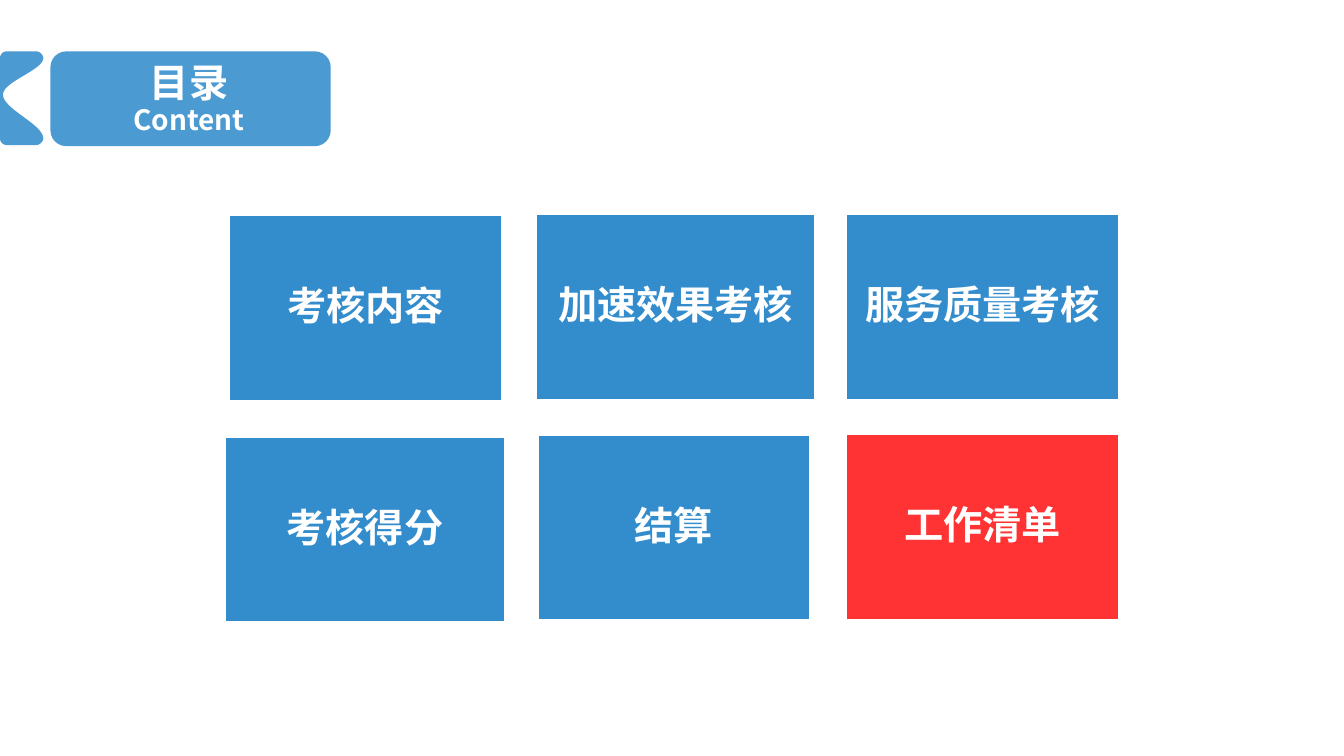
from dataclasses import dataclass

from lxml import etree
from pptx import Presentation
from pptx.dml.color import RGBColor
from pptx.enum.shapes import MSO_SHAPE
from pptx.enum.text import MSO_ANCHOR, PP_ALIGN
from pptx.oxml.ns import qn
from pptx.util import Emu, Pt

RECTANGLE = MSO_SHAPE.RECTANGLE
BANNER = MSO_SHAPE.FLOWCHART_ALTERNATE_PROCESS
CENTER = PP_ALIGN.CENTER
MIDDLE = MSO_ANCHOR.MIDDLE
BLANK_LAYOUT = 6
EMU_PER_PX = 9144  # 100 px to the inch
CURVE_STEPS = 24


@dataclass(frozen=True)
class Theme:
    font: str = "Noto Sans CJK SC"
    blue: str = "0070C0"
    red: str = "FF0000"
    white: str = "FFFFFF"
    heading_size: int = 28
    subtitle_size: int = 20
    line_spacing: float = 0.9
    border: int = 2
    header_opacity: int = 70
    card_opacity: int = 80


THEME = Theme()


@dataclass(frozen=True)
class Card:
    label: str
    left: int
    top: int
    width: int = 271
    height: int = 185
    color: str = THEME.blue


CARDS = [
    Card("考核内容", 227, 213),
    Card("加速效果考核", 531, 212, width=278),
    Card("服务质量考核", 839, 212),
    Card("考核得分", 223, 433, width=278),
    Card("结算", 533, 431),
    Card("工作清单", 839, 430, height=186, color=THEME.red),
]

# Tab outline: each step holds one point (line) or three points (curve)
TAB_START = (7, 144)
TAB_STEPS = [
    [(3, 144), (0, 141), (0, 137)],
    [(0, 58)],
    [(0, 54), (3, 51), (7, 51)],
    [(36, 51)],
    [(39, 51), (43, 54), (43, 58)],
    [(42, 70), (3, 81), (3, 94)],
    [(3, 108), (42, 123), (43, 137)],
    [(43, 141), (39, 144), (36, 144)],
]


def px(value: float) -> Emu:
    return Emu(round(value * EMU_PER_PX))


def paint(shape, color: str, opacity: int) -> None:
    """Give a shape a translucent fill, with no line or shadow."""
    shape.shadow.inherit = False
    shape.fill.solid()
    shape.fill.fore_color.rgb = RGBColor.from_string(color)
    shape.line.fill.background()
    tint = shape.element.spPr.find(qn("a:solidFill")).find(qn("a:srgbClr"))
    etree.SubElement(tint, qn("a:alpha")).set("val", str(opacity * 1000))


def add_box(page, kind, left: int, top: int, width: int, height: int,
            *, color: str, opacity: int):
    box = page.shapes.add_shape(kind, px(left), px(top), px(width), px(height))
    paint(box, color, opacity)
    return box


def write(para, text: str, *, size: int, color: str = THEME.white,
          bold: bool = True) -> None:
    para.alignment = CENTER
    para.line_spacing = THEME.line_spacing
    span = para.add_run()
    span.text = text
    span.font.name = THEME.font
    span.font.size = Pt(size)
    span.font.bold = bold
    span.font.color.rgb = RGBColor.from_string(color)
    east_asian = etree.Element(qn("a:ea"), typeface=THEME.font)
    span.font._element.find(qn("a:latin")).addnext(east_asian)


def curve_points(start: tuple, first: tuple, second: tuple, end: tuple) -> list:
    """Points along a cubic curve, leaving out its start."""
    points = []
    for step in range(1, CURVE_STEPS + 1):
        t = step / CURVE_STEPS
        weights = ((1 - t) ** 3, 3 * t * (1 - t) ** 2, 3 * t * t * (1 - t), t ** 3)
        corners = (start, first, second, end)
        points.append(tuple(sum(weight * corner[axis]
                                for weight, corner in zip(weights, corners))
                            for axis in (0, 1)))
    return points


def add_tab(page) -> None:
    outline = [TAB_START]
    for step in TAB_STEPS:
        outline += curve_points(outline[-1], *step) if len(step) == 3 else step
    scaled = [(px(x), px(y)) for x, y in outline]
    builder = page.shapes.build_freeform(*scaled[0])
    builder.add_line_segments(scaled[1:], close=True)
    paint(builder.convert_to_shape(), THEME.blue, THEME.header_opacity)


def add_title(page) -> None:
    box = page.shapes.add_textbox(px(52), px(52), px(271), px(94))
    frame = box.text_frame
    frame.word_wrap = True
    frame.vertical_anchor = MIDDLE
    para = frame.paragraphs[0]
    write(para, "目录", size=THEME.heading_size)
    para.add_line_break()
    write(para, "Content", size=THEME.subtitle_size)


def add_card(page, card: Card) -> None:
    box = add_box(page, RECTANGLE, card.left, card.top, card.width, card.height,
                  color=card.color, opacity=THEME.card_opacity)
    box.line.color.rgb = RGBColor.from_string(THEME.white)
    box.line.width = Pt(THEME.border)
    frame = box.text_frame
    frame.word_wrap = True
    frame.vertical_anchor = MIDDLE
    frame.margin_left = frame.margin_right = px(15)
    frame.margin_top = frame.margin_bottom = px(15)
    write(frame.paragraphs[0], card.label, size=THEME.heading_size)


def main() -> None:
    deck = Presentation()
    deck.slide_width, deck.slide_height = px(1333), px(750)
    page = deck.slides.add_slide(deck.slide_layouts[BLANK_LAYOUT])

    # Header
    add_box(page, BANNER, 50, 51, 278, 94,
            color=THEME.blue, opacity=THEME.header_opacity)
    add_tab(page)
    add_title(page)

    # Contents
    for card in CARDS:
        add_card(page, card)

    deck.save("out.pptx")


if __name__ == "__main__":
    main()
